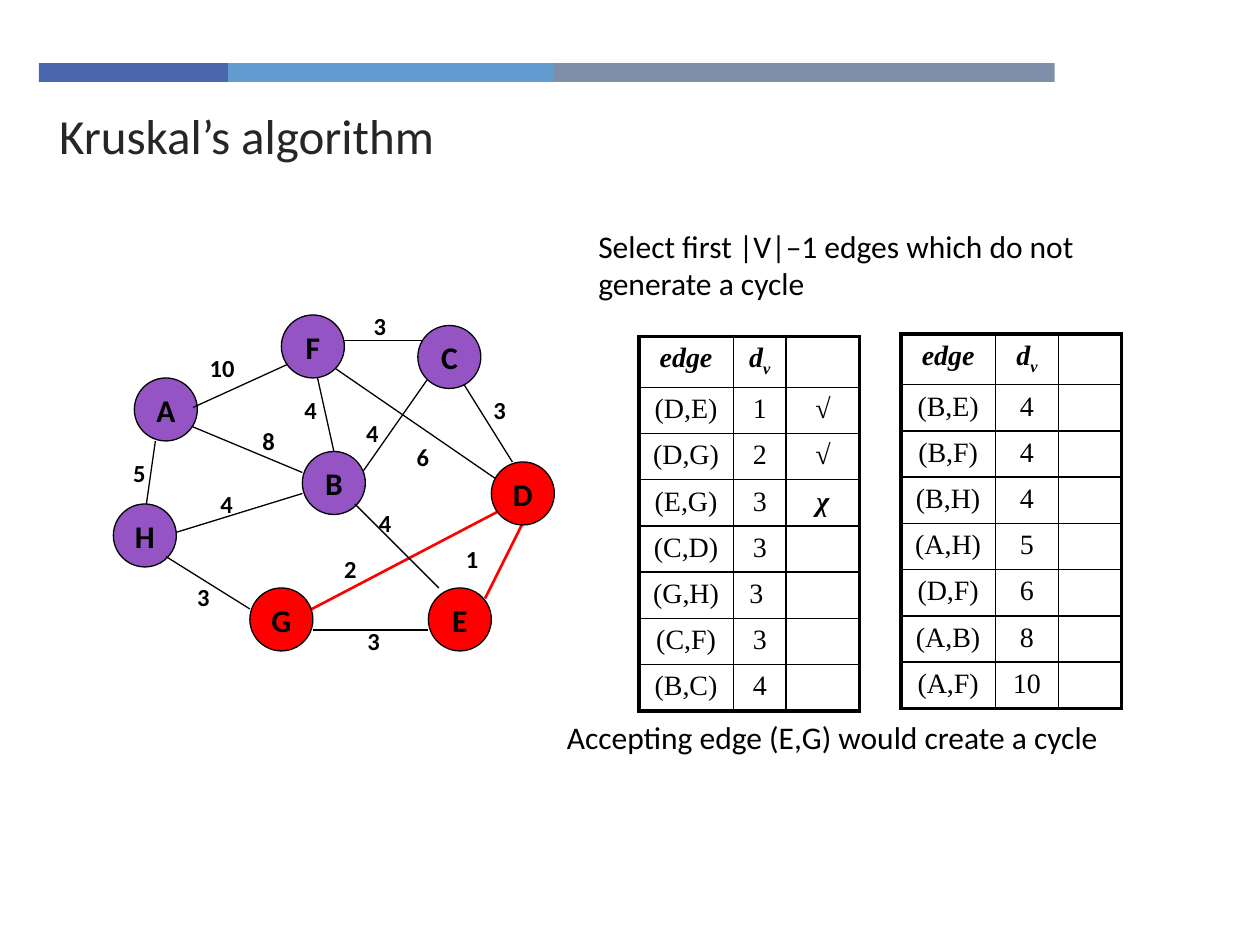
from dataclasses import dataclass

from lxml import etree
from pptx import Presentation
from pptx import util as u
from pptx.dml.color import RGBColor
from pptx.enum import shapes, text
from pptx.oxml import ns

COLORS = {
    "ink": "000000", "title": "262626", "open": "9454C3", "chosen": "FF0000",
    "indigo": "4A66AC", "sky": "629DD1", "slate": "7F8FA9",
}
SANS, SERIF = "Calibri", "Times New Roman"
NODE_SIZE = 6
OUTER, INNER = 2.25, 1


@dataclass(frozen=True)
class Grid:
    left: float
    top: float
    step: float

    def x(self, col: float) -> int:
        return u.Inches(self.left + col * self.step)

    def y(self, row: float) -> int:
        return u.Inches(self.top + row * self.step)

    def size(self, cells: float) -> int:
        return u.Inches(cells * self.step)

    def box(self, col: float, row: float, cols: float, rows: float) -> tuple:
        return self.x(col), self.y(row), self.size(cols), self.size(rows)


@dataclass(frozen=True)
class Node:
    name: str
    col: float
    row: float
    color: str = "open"


@dataclass(frozen=True)
class Edge:
    start: tuple
    end: tuple
    weight: str
    label: tuple
    label_cols: float = 4
    color: str = "ink"
    width: float = 0.75


@dataclass(frozen=True)
class EdgeList:
    col: float
    row: float
    widths: tuple
    entries: tuple


PAGE = Grid(0, 0, 0.1)
GRAPH = Grid(0.9, 2.5, 1 / 12)

BARS = (("indigo", 3.1, 15), ("sky", 18.1, 25.8), ("slate", 43.9, 39.8))

NODES = (
    Node("A", 2, 6), Node("H", 0, 18), Node("B", 18, 13), Node("F", 16, 0),
    Node("E", 30, 26, "chosen"), Node("D", 36, 14, "chosen"),
    Node("C", 29, 1), Node("G", 13, 26, "chosen"),
)

EDGES_BEHIND = (
    Edge((40.4, 17), (35.4, 27), "1", (32.4, 21.2), 6.2, "chosen", 1.5),
    Edge((19, 4), (21, 13), "4", (17, 7)),
    Edge((23, 16), (30, 6), "4", (22.9, 9.2)),
    Edge((37, 16), (21, 5), "6", (27.7, 11.5), 6.2),
    Edge((5, 21), (18, 17), "4", (9, 16)),
    Edge((17, 29), (38, 18), "2", (20.8, 22.2), 4, "chosen", 1.5),
    Edge((3, 19), (4, 12), "5", (0.7, 13)),
    Edge((6, 10), (18, 15), "8", (13, 10)),
    Edge((21.6, 2.4), (29.6, 2.4), "3", (23.6, -1)),
    Edge((33, 6), (38, 14), "3", (35, 7)),
)
EDGES_IN_FRONT = (
    Edge((23, 18), (31, 26), "4", (24.1, 17.8), 6.2),
    Edge((30, 30), (19, 30), "3", (23, 29)),
    Edge((13, 28), (5, 23), "3", (6.8, 24.8)),
    Edge((7.6, 8.8), (16.6, 4.7), "10", (8, 3), 6.2),
)

EDGE_LISTS = (
    EdgeList(50.7, 26.7, (7.5, 4.2, 5.8), (
        ("(D,E)", "1", "√"), ("(D,G)", "2", "√"), ("(E,G)", "3", "χ"),
        ("(C,D)", "3", ""), ("(G,H)", "3 ", ""), ("(C,F)", "3", ""),
        ("(B,C)", "4", ""))),
    EdgeList(71.5, 26.5, (7.5, 5, 5), (
        ("(B,E)", "4", ""), ("(B,F)", "4", ""), ("(B,H)", "4", ""),
        ("(A,H)", "5", ""), ("(D,F)", "6", ""), ("(A,B)", "8", ""),
        ("(A,F)", "10", ""))),
)


def rgb(name: str) -> RGBColor:
    return RGBColor.from_string(COLORS[name])


def add_run(paragraph, words: str, size: float, bold=False, italic=False,
            face=SANS, color="ink"):
    run = paragraph.add_run()
    run.text = words
    font = run.font
    font.name, font.size, font.bold, font.italic = face, u.Pt(size), bold, italic
    font.color.rgb = rgb(color)
    return run


def draw_text(slide, box: tuple, words: str, size: float, bold=False) -> None:
    frame = slide.shapes.add_textbox(*box).text_frame
    frame.word_wrap = True
    add_run(frame.paragraphs[0], words, size, bold)


def draw_bar(slide, color: str, col: float, cols: float) -> None:
    bar = slide.shapes.add_shape(
        shapes.MSO_SHAPE.RECTANGLE, *PAGE.box(col, 5, cols, 1.5))
    bar.shadow.inherit = False
    bar.fill.solid()
    bar.fill.fore_color.rgb = rgb(color)
    bar.line.fill.background()


def draw_edge(slide, edge: Edge) -> None:
    line = slide.shapes.add_connector(
        shapes.MSO_CONNECTOR.STRAIGHT,
        GRAPH.x(edge.start[0]), GRAPH.y(edge.start[1]),
        GRAPH.x(edge.end[0]), GRAPH.y(edge.end[1]))
    line.line.color.rgb = rgb(edge.color)
    line.line.width = u.Pt(edge.width)
    etree.SubElement(line._element.spPr, ns.qn("a:effectLst"))
    draw_text(slide, GRAPH.box(*edge.label, edge.label_cols, 4), edge.weight, 14, True)


def draw_node(slide, node: Node) -> None:
    circle = slide.shapes.add_shape(
        shapes.MSO_SHAPE.OVAL, *GRAPH.box(node.col, node.row, NODE_SIZE, NODE_SIZE))
    circle.shadow.inherit = False
    circle.fill.solid()
    circle.fill.fore_color.rgb = rgb(node.color)
    circle.line.color.rgb = rgb("ink")
    circle.line.width = u.Pt(0.75)
    frame = circle.text_frame
    frame.word_wrap = False
    frame.vertical_anchor = text.MSO_ANCHOR.MIDDLE
    frame.paragraphs[0].alignment = text.PP_ALIGN.CENTER
    add_run(frame.paragraphs[0], node.name, 18, True)


def set_borders(cell, widths: dict) -> None:
    props = cell._tc.get_or_add_tcPr()
    for side, width in widths.items():
        line = etree.SubElement(props, ns.qn(f"a:ln{side}"), w=str(u.Pt(width)))
        fill = etree.SubElement(line, ns.qn("a:solidFill"))
        etree.SubElement(fill, ns.qn("a:srgbClr"), val=COLORS["ink"])


def draw_edge_list(slide, listing: EdgeList) -> None:
    rows = (("edge", "d", ""),) + listing.entries
    last_row, last_col = len(rows) - 1, len(listing.widths) - 1
    table = slide.shapes.add_table(
        len(rows), len(listing.widths),
        *PAGE.box(listing.col, listing.row, sum(listing.widths), 29.3)).table
    table.first_row = table.horz_banding = False
    for column, width in zip(table.columns, listing.widths):
        column.width = PAGE.size(width)
    for r, entry in enumerate(rows):
        table.rows[r].height = PAGE.size(3.65 if r else 4)
        for c, words in enumerate(entry):
            cell = table.cell(r, c)
            set_borders(cell, {
                "L": INNER if c else OUTER,
                "R": OUTER if c == last_col else INNER,
                "T": INNER if r else OUTER,
                "B": OUTER if r == last_row else INNER})
            cell.fill.background()
            paragraph = cell.text_frame.paragraphs[0]
            paragraph.alignment = text.PP_ALIGN.CENTER
            strong = r == 0 or c == last_col
            if words:
                add_run(paragraph, words, 16, strong, strong, SERIF)
            else:
                etree.SubElement(paragraph._p, ns.qn("a:endParaRPr"), sz="1600")
            if words == "d":
                index = add_run(paragraph, "v", 16, True, True, SERIF)
                index.font._element.set("baseline", "-25000")


def draw_title(slide, words: str) -> None:
    title = slide.shapes.title
    title.left, title.top, title.width, title.height = PAGE.box(3.7, 8, 71.6, 5.4)
    title.text_frame.vertical_anchor = text.MSO_ANCHOR.MIDDLE
    paragraph = title.text_frame.paragraphs[0]
    paragraph.alignment = text.PP_ALIGN.LEFT
    add_run(paragraph, words, 28, color="title")


def main() -> None:
    deck = Presentation()
    deck.slide_width, deck.slide_height = PAGE.size(100), PAGE.size(75)
    slide = deck.slides.add_slide(deck.slide_layouts[5])
    draw_title(slide, "Kruskal’s algorithm")
    for bar in BARS:
        draw_bar(slide, *bar)
    draw_text(slide, PAGE.box(46.5, 17.5, 44.2, 7.7),
              "Select first |V|–1 edges which do not generate a cycle", 18)
    for edge in EDGES_BEHIND:
        draw_edge(slide, edge)
    for node in NODES:
        draw_node(slide, node)
    for edge in EDGES_IN_FRONT:
        draw_edge(slide, edge)
    for listing in EDGE_LISTS:
        draw_edge_list(slide, listing)
    draw_text(slide, PAGE.box(44, 56.5, 50.8, 4.3),
              "Accepting edge (E,G) would create a cycle", 18)
    deck.save("out.pptx")


if __name__ == "__main__":
    main()
